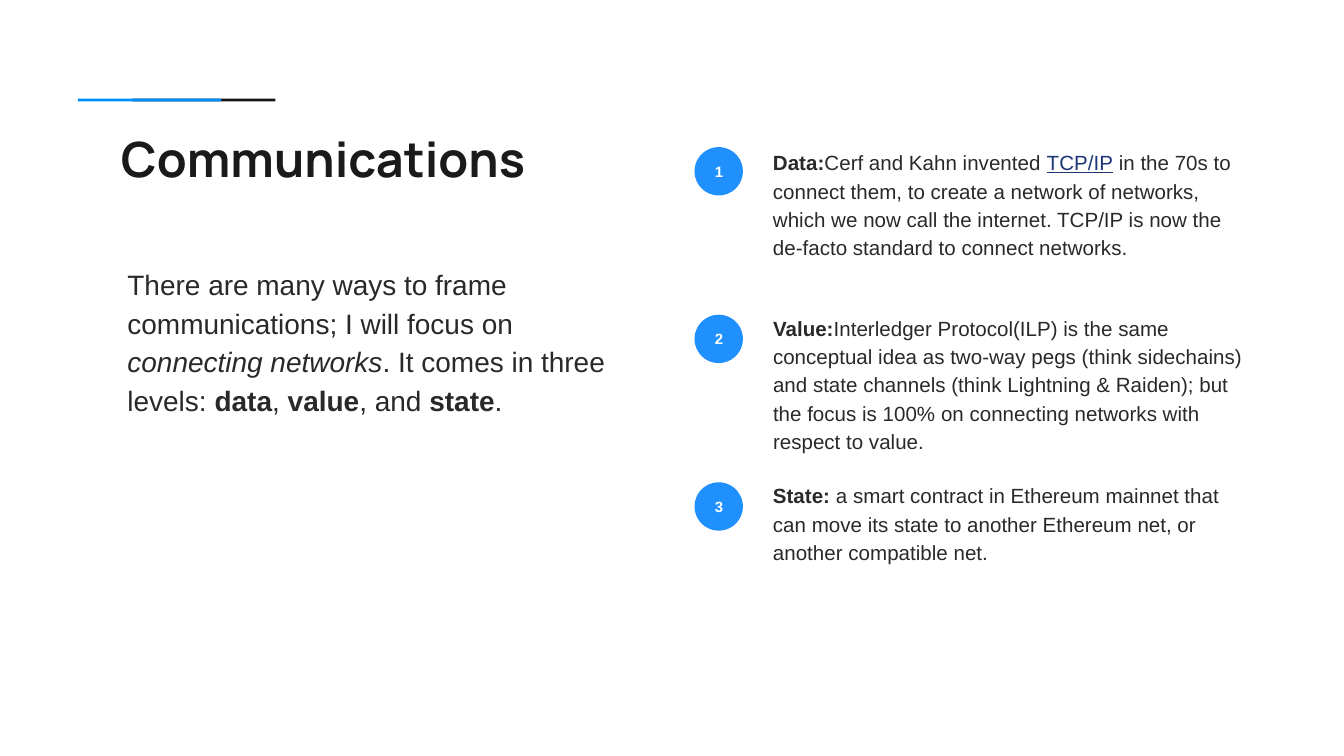
from pptx import Presentation
from pptx import util as u
from pptx.dml.color import RGBColor
from pptx.enum import shapes, text

WIDE = 10
HIGH = WIDE * 9 / 16
CELL = WIDE / 100  # one column or row of the square grid
INK, BLUE = "292929", "2090FF"
BODY = {"size": 15, "color": INK}
NOTE = {"size": 11, "color": INK}
BOLD, ITALIC = {"bold": True}, {"italic": True}
LINK = {"color": "1C3678", "underline": True}

INTRO = [
    ("There are many ways to frame communications; I will focus on ", {}),
    ("connecting networks", ITALIC), (". It comes in three levels: ", {}),
    ("data", BOLD), (", ", {}), ("value", BOLD), (", and ", {}),
    ("state", BOLD), (".", {}),
]
# Rise of the text above its badge, text width, runs
LEVELS = [
    (1.05, 37.7, [
        ("Data:", BOLD), ("Cerf and Kahn invented ", {}), ("TCP/IP", LINK),
        (" in the 70s to connect them, to create a network of networks, "
         "which we now call the internet. TCP/IP is now the de-facto "
         "standard to connect networks.", {})]),
    (1.2, 38.1, [
        ("Value:", BOLD),
        ("Interledger Protocol(ILP) is the same conceptual idea as two-way "
         "pegs (think sidechains) and state channels (think Lightning & "
         "Raiden); but the focus is 100% on connecting networks with "
         "respect to value.", {})]),
    (1.2, 37.3, [
        ("State:", BOLD),
        (" a smart contract in Ethereum mainnet that can move its state to "
         "another Ethereum net, or another compatible net.", {})]),
]


def rgb(code):
    return RGBColor.from_string(code)


def grid(*cells):
    return [u.Inches(n * CELL) for n in cells]


def style(font, look):
    """Apply a dict of format values to a font."""
    for key, value in {"name": "Arial", **look}.items():
        if key == "color":
            font.color.rgb = rgb(value)
        else:
            setattr(font, key, u.Pt(value) if key == "size" else value)


def fill(shape, runs, look, align=text.PP_ALIGN.LEFT,
         anchor=text.MSO_ANCHOR.TOP, **spacing):
    """Write one paragraph of styled runs into a shape."""
    frame = shape.text_frame
    inset = u.Inches(0.1)
    values = {
        "word_wrap": True, "auto_size": text.MSO_AUTO_SIZE.NONE,
        "vertical_anchor": anchor, "margin_left": inset,
        "margin_right": inset, "margin_top": inset, "margin_bottom": inset,
    }
    for key, value in values.items():
        setattr(frame, key, value)
    para = frame.paragraphs[0]
    for key, value in {"alignment": align, **spacing}.items():
        setattr(para, key, value)
    for words, extra in runs:
        run = para.add_run()
        run.text = words
        style(run.font, {**look, **extra})


def solid(slide, kind, box, color):
    shape = slide.shapes.add_shape(kind, *grid(*box))
    shape.shadow.inherit = False
    shape.fill.solid()
    shape.fill.fore_color.rgb = rgb(color)
    shape.line.fill.background()
    return shape


def accent(slide, x, y, w, h):
    """Draw two overlapping bars, the blue one in front."""
    bar = w * 0.725
    for left, color in ((x + w - bar, "151516"), (x, "008FFF")):
        solid(slide, shapes.MSO_SHAPE.RECTANGLE, (left, y, bar, h), color)


def heading(slide, x, y, w, h):
    title = slide.shapes.title
    title.left, title.top, title.width, title.height = grid(x, y, w, h)
    look = {"name": "Manrope", "size": 26, "color": "1A1A1A", "bold": True}
    fill(title, [("Communications", {})], look)


def prose(slide, box, runs, look, **spacing):
    area = slide.shapes.add_textbox(*grid(*box))
    fill(area, runs, look, line_spacing=1.15, **spacing)


def levels(slide, x, y, step):
    """Stack numbered badges, each with its text to the right."""
    size = 3.6
    for i, (rise, width, runs) in enumerate(LEVELS):
        top = y + i * step
        badge = solid(slide, shapes.MSO_SHAPE.OVAL, (x, top, size, size), BLUE)
        fill(badge, [(str(i + 1), BOLD)], {"size": 8, "color": "FFFFFF"},
             text.PP_ALIGN.CENTER, text.MSO_ANCHOR.MIDDLE)
        prose(slide, (x + 4.85, top - rise, width, 11.5), runs, NOTE,
              space_after=u.Pt(16))


def main():
    deck = Presentation()
    deck.slide_width, deck.slide_height = u.Inches(WIDE), u.Inches(HIGH)
    slide = deck.slides.add_slide(deck.slide_layouts[5])
    accent(slide, 5.8, 7.34, 14.7, 0.2)
    heading(slide, 8, 8.6, 40.3, 5.9)
    prose(slide, (8.5, 18.55, 40.3, 13.3), INTRO, BODY)
    levels(slide, 51.68, 10.95, 12.47)
    deck.save("out.pptx")


if __name__ == "__main__":
    main()
